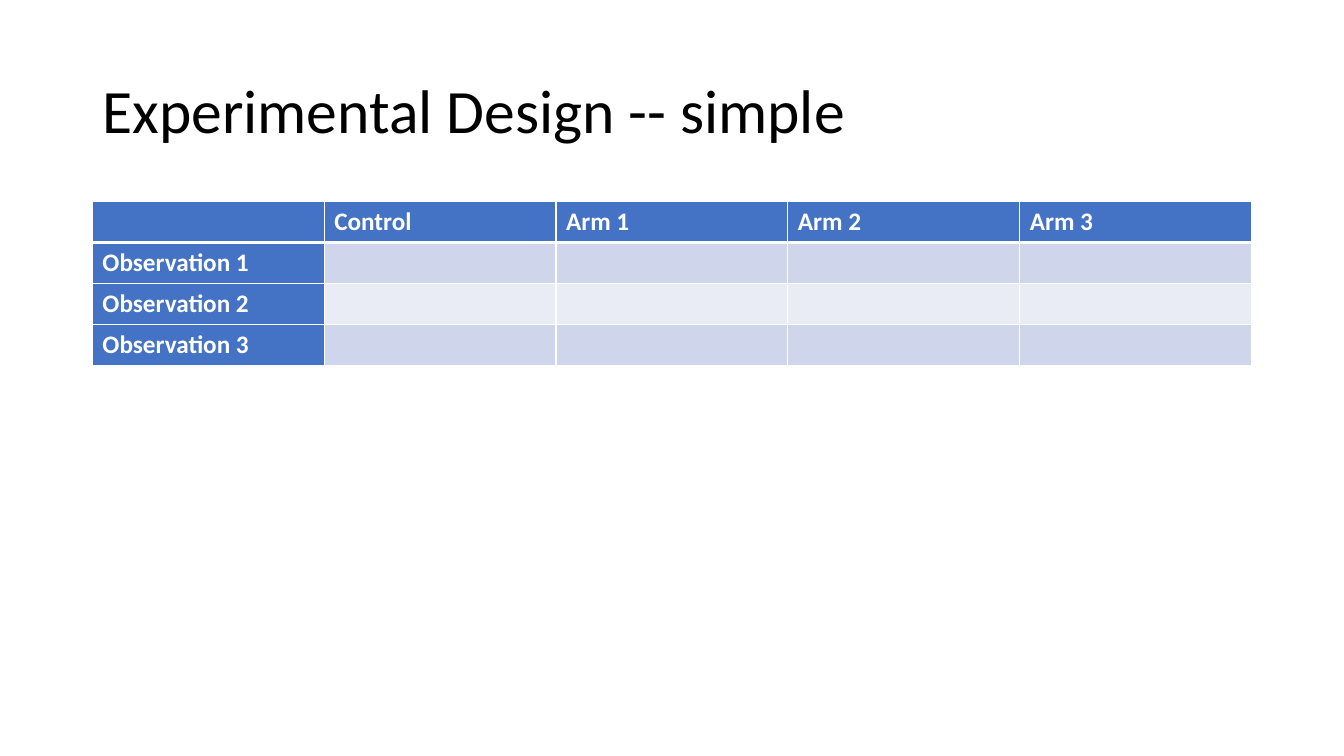
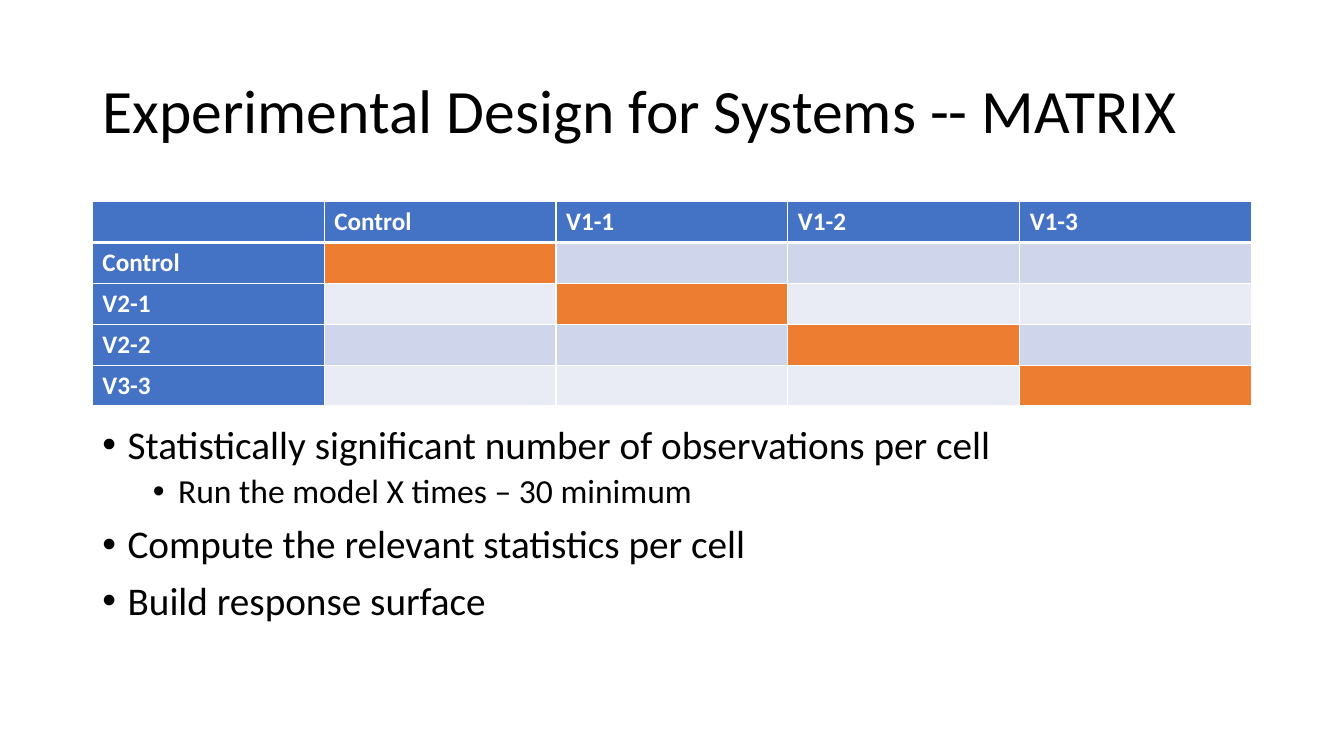
from lxml import etree
from pptx import Presentation
from pptx.dml.color import RGBColor
from pptx.enum import text
from pptx.oxml import ns
from pptx.util import Pt

FONT = "Calibri"
BLACK, WHITE = "000000", "FFFFFF"
HEADER, DIAGONAL = "4472C4", "ED7D31"
BANDS = ("CFD5EA", "E9EBF5")

LEFT, WIDTH = 66, 828
TITLE_BOX = (LEFT, 28.75, WIDTH, 104.4)
TABLE_TOP, ROW_HEIGHT = 144, 29.2
BODY_BOX = (LEFT, 300.2, WIDTH, 185.8)

TITLE_ONLY, TITLE_AND_CONTENT = 5, 1
# size, space before, left indent for each list level
LEVELS = ((28, 10, 18), (24, 5, 54))
HANGING = 18


def rgb(value):
    return RGBColor.from_string(value)


def format_runs(paragraph, size, color, bold=False):
    for run in paragraph.runs:
        run.font.name = FONT
        run.font.size = Pt(size)
        run.font.bold = bold
        run.font.color.rgb = rgb(color)


def place(placeholder, box):
    left, top, width, height = (Pt(length) for length in box)
    placeholder.left, placeholder.top = left, top
    placeholder.width, placeholder.height = width, height
    placeholder.text_frame.auto_size = text.MSO_AUTO_SIZE.NONE
    placeholder.text_frame.word_wrap = True


def add_titled_slide(deck, layout, heading):
    slide = deck.slides.add_slide(deck.slide_layouts[layout])
    title = slide.shapes.title
    place(title, TITLE_BOX)
    title.text_frame.text = heading
    title.text_frame.vertical_anchor = text.MSO_ANCHOR.MIDDLE
    line = title.text_frame.paragraphs[0]
    line.alignment = text.PP_ALIGN.LEFT
    line.line_spacing = 0.9
    format_runs(line, 44, BLACK)
    return slide


def set_borders(cell, **widths):
    """Draw white cell borders; widths maps L, R, T and B to points."""
    properties = cell._tc.get_or_add_tcPr()
    for side, width in widths.items():
        border = etree.SubElement(properties, ns.qn(f"a:ln{side}"), w=str(Pt(width)))
        fill = etree.SubElement(border, ns.qn("a:solidFill"))
        etree.SubElement(fill, ns.qn("a:srgbClr"), val=WHITE)


def add_design_table(slide, box, column_names, row_names, mark_diagonal=False):
    left, top, width, row_height = box
    row_count, column_count = len(row_names) + 1, len(column_names) + 1
    design = slide.shapes.add_table(
        row_count, column_count, Pt(left), Pt(top), Pt(width), Pt(row_height * row_count)
    ).table
    design.first_col = True
    for column in design.columns:
        column.width = Pt(width / column_count)
    for r, row in enumerate(design.rows):
        row.height = Pt(row_height)
        for c, cell in enumerate(row.cells):
            set_borders(cell, L=1, R=1, T=3 if r == 1 else 1, B=3 if r == 0 else 1)
            if r == 0 or c == 0:
                color = HEADER
            elif mark_diagonal and r == c:
                color = DIAGONAL
            else:
                color = BANDS[(r - 1) % 2]
            cell.fill.solid()
            cell.fill.fore_color.rgb = rgb(color)

    names = [(0, c, name) for c, name in enumerate(column_names, 1)]
    names += [(r, 0, name) for r, name in enumerate(row_names, 1)]
    for r, c, name in names:
        label = design.cell(r, c).text_frame
        label.text = name
        format_runs(label.paragraphs[0], 18, WHITE, bold=True)


def fill_bullets(body, box, items):
    place(body, box)
    frame = body.text_frame
    frame.text = "\n".join(item for _, item in items)
    for paragraph, (level, _) in zip(frame.paragraphs, items):
        size, space, indent = LEVELS[level]
        paragraph.level = level
        paragraph.line_spacing = 0.9
        paragraph.space_before = Pt(space)
        format_runs(paragraph, size, BLACK)
        properties = paragraph._p.get_or_add_pPr()
        properties.set("marL", str(Pt(indent)))
        properties.set("indent", str(-Pt(HANGING)))
        etree.SubElement(properties, ns.qn("a:buFont"), typeface="Arial")
        etree.SubElement(properties, ns.qn("a:buChar"), char="•")


def add_simple_design(deck):
    slide = add_titled_slide(deck, TITLE_ONLY, "Experimental Design -- simple")
    add_design_table(
        slide,
        (LEFT, TABLE_TOP, WIDTH, ROW_HEIGHT),
        ("Control", "Arm 1", "Arm 2", "Arm 3"),
        ("Observation 1", "Observation 2", "Observation 3"),
    )


def add_matrix_design(deck):
    slide = add_titled_slide(
        deck, TITLE_AND_CONTENT, "Experimental Design for Systems -- MATRIX"
    )
    fill_bullets(slide.placeholders[1], BODY_BOX, (
        (0, "Statistically significant number of observations per cell"),
        (1, "Run the model X times – 30 minimum"),
        (0, "Compute the relevant statistics per cell"),
        (0, "Build response surface"),
    ))
    add_design_table(
        slide,
        (LEFT, TABLE_TOP, WIDTH, ROW_HEIGHT),
        ("Control", "V1-1", "V1-2", "V1-3"),
        ("Control", "V2-1", "V2-2", "V3-3"),
        mark_diagonal=True,
    )


def main():
    deck = Presentation()
    deck.slide_width, deck.slide_height = Pt(960), Pt(540)
    add_simple_design(deck)
    add_matrix_design(deck)
    deck.save("out.pptx")


if __name__ == "__main__":
    main()
